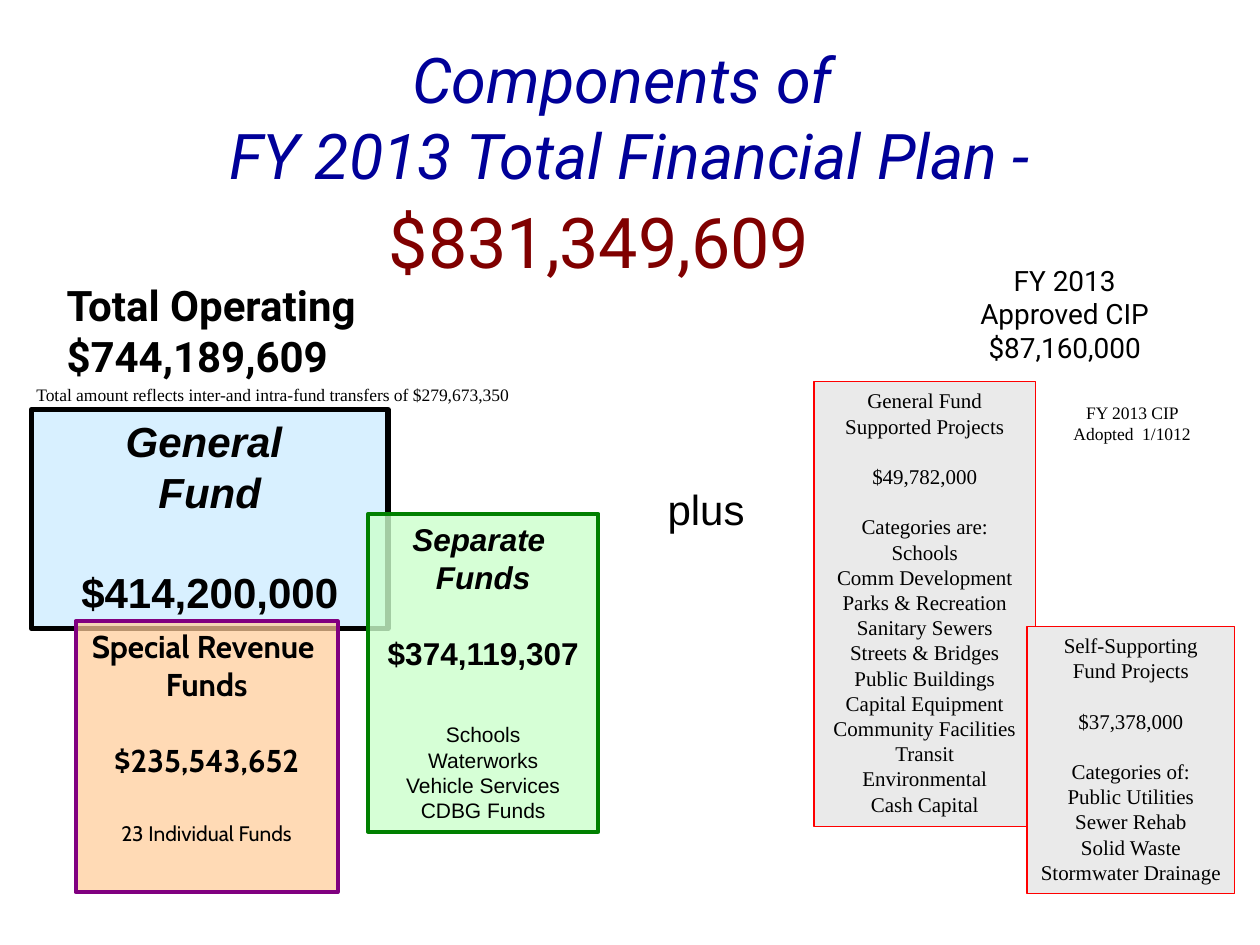
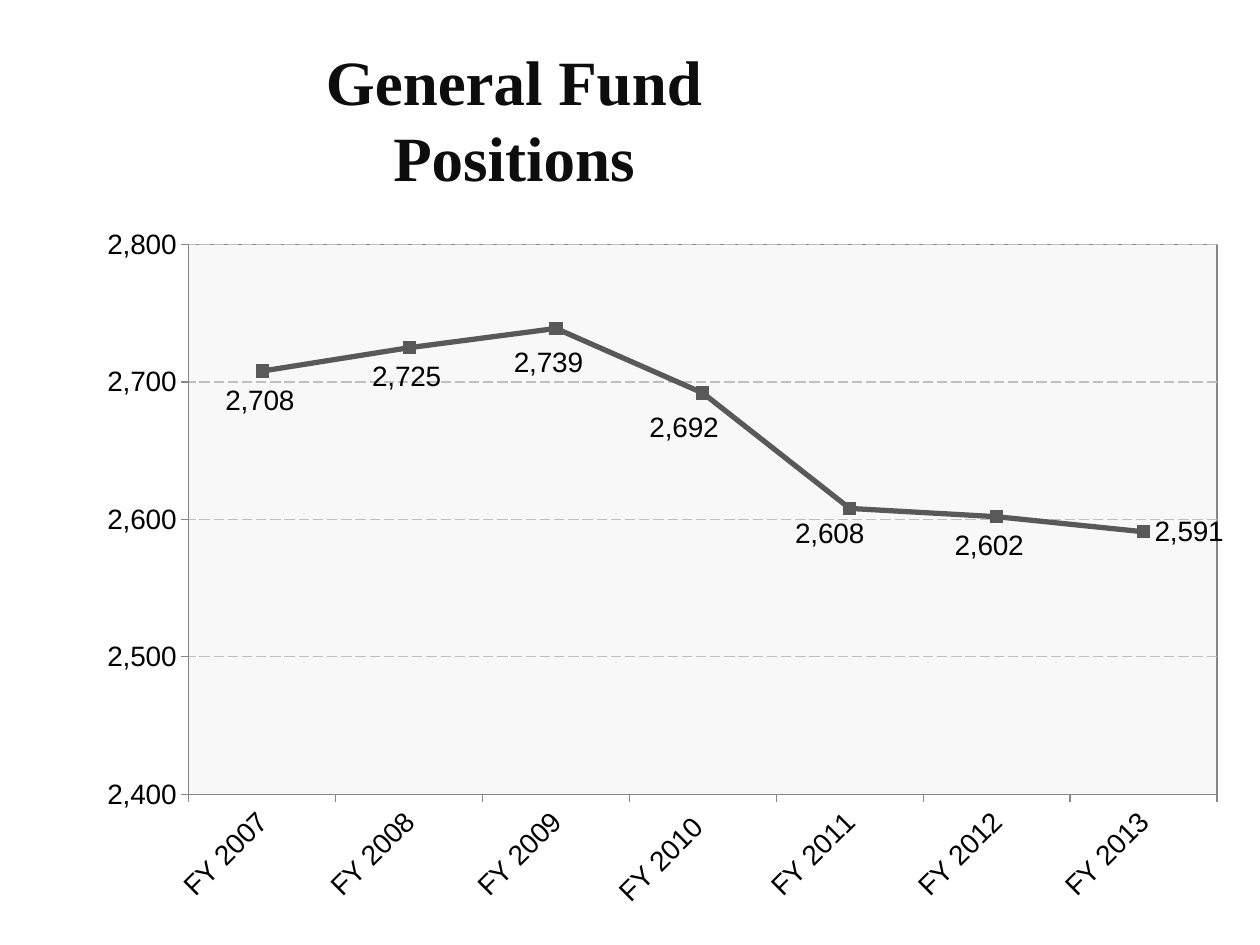
import pptx
import pptx.chart.data
import pptx.dml.color
import pptx.enum.chart
import pptx.enum.dml
import pptx.enum.shapes
import pptx.enum.text
import pptx.oxml
import pptx.oxml.ns
import pptx.util
from pptx.util import Inches, Pt

RGB = pptx.dml.color.RGBColor
ALIGN = pptx.enum.text.PP_ALIGN
ANCHOR = pptx.enum.text.MSO_ANCHOR
LABEL_POS = pptx.enum.chart.XL_LABEL_POSITION

BLACK = RGB(0x00, 0x00, 0x00)
NAVY = RGB(0x00, 0x00, 0x99)
MAROON = RGB(0x80, 0x00, 0x00)
RED = RGB(0xFF, 0x00, 0x00)
GREEN = RGB(0x00, 0x80, 0x00)
PURPLE = RGB(0x80, 0x00, 0x80)
PALE_BLUE = RGB(0xCC, 0xEC, 0xFF)
PALE_GREEN = RGB(0xCC, 0xFF, 0xCC)
PEACH = RGB(0xFF, 0xCC, 0x99)
PALE_GRAY = RGB(0xEA, 0xEA, 0xEA)
PLOT_GRAY = RGB(0xF2, 0xF2, 0xF2)
GRID_GRAY = RGB(0xBF, 0xBF, 0xBF)
AXIS_GRAY = RGB(0x86, 0x86, 0x86)
SERIES_GRAY = RGB(0x59, 0x59, 0x59)
NEAR_BLACK = RGB(0x0D, 0x0D, 0x0D)

SANS, SERIF, ROBOTO, CABIN = "Arial", "Times New Roman", "Roboto", "Cabin"
LEADING = 1.2  # line pitch as a multiple of the text size


# Shared text and shape helpers
def write(tf, lines, font, size, color=BLACK, align=ALIGN.CENTER, wrap=True,
          anchor=ANCHOR.TOP, bold=False, italic=False):
    """Each line is a text, or (text, changes); gap is the space above in points."""
    tf.word_wrap = wrap
    tf.auto_size = pptx.enum.text.MSO_AUTO_SIZE.NONE
    tf.vertical_anchor = anchor
    for i, line in enumerate(lines):
        text, changes = (line, {}) if isinstance(line, str) else line
        look = dict(size=size, bold=bold, italic=italic, gap=0) | changes
        p = tf.paragraphs[0] if i == 0 else tf.add_paragraph()
        p.alignment = align
        p.line_spacing = Pt(LEADING * look["size"])
        p.space_before = Pt(LEADING * look["gap"])
        for n, part in enumerate(text.split("\n")):
            if n:
                p.add_line_break()
            r = p.add_run()
            r.text = part
            r.font.name, r.font.size = font, Pt(look["size"])
            r.font.bold, r.font.italic = look["bold"], look["italic"]
            r.font.color.rgb = color


def add_title(s, box, text, font, color, **look):
    sp = s.shapes.title
    sp.left, sp.top, sp.width, sp.height = map(Inches, box)
    write(sp.text_frame, [text], font, 36, color, **look)


def add_label(s, box, lines, font, size, **look):
    sp = s.shapes.add_textbox(*map(Inches, box))
    write(sp.text_frame, lines, font, size, **look)


def set_alpha(fill_parent, percent):
    for clr in fill_parent.xpath("./a:solidFill/a:srgbClr"):
        alpha = pptx.oxml.parse_xml(
            f'<a:alpha {pptx.oxml.ns.nsdecls("a")} val="{percent * 1000}"/>')
        clr.append(alpha)


def add_fund_box(s, box, fill, alpha, line, width, lines, font, size, **look):
    sp = s.shapes.add_shape(pptx.enum.shapes.MSO_SHAPE.RECTANGLE, *map(Inches, box))
    sp.shadow.inherit = False
    sp.fill.solid()
    sp.fill.fore_color.rgb = fill
    if alpha < 100:
        set_alpha(sp._element.spPr, alpha)
    sp.line.color.rgb = line
    sp.line.width = Pt(width)
    write(sp.text_frame, lines, font, size, **look)


# Slide 1: regions of the financial plan
def add_plan_labels(s):
    add_label(s, (0.43, 2.17, 3.33, 0.91), ["Total Operating", "$744,189,609"],
              ROBOTO, 24, align=ALIGN.LEFT, bold=True)
    add_label(s, (7.65, 2.04, 1.6, 0.91), ["FY 2013", "Approved CIP", "$87,160,000"],
              ROBOTO, 16, wrap=False)
    add_label(s, (0.19, 3, 4.04, 0.27),
              ["Total amount reflects inter-and intra-fund transfers of $279,673,350"],
              SERIF, 10, align=ALIGN.LEFT)
    add_label(s, (8.4, 3.14, 1.17, 0.44), ["FY 2013 CIP Adopted  1/1012"], SERIF, 10)
    add_label(s, (5.2, 3.79, 0.81, 0.5), ["plus"], SANS, 24,
              align=ALIGN.LEFT, wrap=False)
    add_label(s, (2.94, 1.53, 3.63, 0.77), ["$831,349,609"], ROBOTO, 40,
              color=MAROON, wrap=False)


def add_capital_projects(s):
    gap = {"gap": 12}
    general = ["General Fund", "Supported Projects", ("$49,782,000", gap),
               ("Categories are:", gap), "Schools", "Comm Development",
               "Parks & Recreation", "Sanitary Sewers", "Streets & Bridges",
               "Public Buildings", "Capital Equipment", "Community Facilities",
               "Transit", "Environmental", "Cash Capital"]
    supporting = ["Self-Supporting", "Fund Projects", ("$37,378,000", gap),
                  ("Categories of:", gap), "Public Utilities", "Sewer Rehab",
                  "Solid Waste", "Stormwater Drainage"]
    for box, lines in (((6.46, 3.03, 1.76, 3.53), general),
                       ((8.15, 4.97, 1.65, 2.12), supporting)):
        add_fund_box(s, box, PALE_GRAY, 100, RED, 0.75, lines, SERIF, 12)


def add_operating_funds(s):
    small = {"size": 12, "bold": False, "italic": False}
    add_fund_box(s, (0.25, 3.25, 2.83, 1.74), PALE_BLUE, 75, BLACK, 3,
                 ["General ", "Fund", ("$414,200,000", {"gap": 24, "italic": False})],
                 SANS, 24, bold=True, italic=True)
    add_fund_box(s, (2.92, 4.08, 1.83, 2.52), PALE_GREEN, 80, GREEN, 2.25,
                 ["Separate ", "Funds",
                  ("$374,119,307", {"gap": 18, "italic": False}),
                  ("Schools", small | {"gap": 24}), ("Waterworks", small),
                  ("Vehicle Services", small), ("CDBG Funds", small)],
                 SANS, 18, bold=True, italic=True)
    add_fund_box(s, (0.6, 4.93, 2.08, 2.15), PEACH, 72, PURPLE, 2.25,
                 ["Special Revenue ", "Funds", ("$235,543,652", {"gap": 18}),
                  ("23 Individual Funds", small | {"gap": 20})],
                 CABIN, 18, bold=True)


def build_plan_slide(s):
    add_title(s, (0.5, 0.3, 9, 1.25), "Components of \nFY 2013 Total Financial Plan -",
              ROBOTO, NAVY, anchor=ANCHOR.MIDDLE, italic=True)
    add_plan_labels(s)
    add_capital_projects(s)
    add_operating_funds(s)


# Slide 2: positions chart
POSITIONS = {"FY 2007": 2708, "FY 2008": 2725, "FY 2009": 2739, "FY 2010 ": 2692,
             "FY 2011": 2608, "FY 2012": 2602, "FY 2013": 2591}
# Label shifts from the spot below each point, in inches; the last label sits right
LABEL_SHIFTS = [(-0.02, 0.03), (-0.02, 0.02), (-0.06, 0.06), (-0.15, 0.07),
                (-0.16, -0.01), (-0.06, 0.02)]


def manual_layout(**values):
    items = "".join(f'<c:{k} val="{v}"/>' for k, v in values.items())
    return pptx.oxml.parse_xml(f'<c:layout {pptx.oxml.ns.nsdecls("c")}>'
                               f'<c:manualLayout>{items}</c:manualLayout></c:layout>')


def format_plot_area(chart):
    area = chart._chartSpace.xpath("c:chart/c:plotArea")[0]
    for old in area.xpath("c:layout"):
        area.remove(old)
    area.insert(0, manual_layout(layoutTarget="inner", xMode="edge", yMode="edge",
                                 x=0.123, y=0.087, w=0.859, h=0.727))
    sp_pr = pptx.oxml.parse_xml(
        f'<c:spPr {pptx.oxml.ns.nsdecls("c", "a")}>'
        f'<a:solidFill><a:srgbClr val="{PLOT_GRAY}"/></a:solidFill>'
        f'<a:ln w="9525"><a:solidFill><a:srgbClr val="{AXIS_GRAY}"/></a:solidFill></a:ln>'
        '</c:spPr>')
    set_alpha(sp_pr, 51)
    area.append(sp_pr)


def format_axes(chart):
    for axis in (chart.category_axis, chart.value_axis):
        axis.major_tick_mark = pptx.enum.chart.XL_TICK_MARK.OUTSIDE
        axis.format.line.color.rgb = AXIS_GRAY
        axis.format.line.width = Pt(0.75)
        axis.tick_labels.font.size = Pt(16)
    chart.category_axis._element.xpath("c:txPr/a:bodyPr")[0].set("rot", "-2700000")
    values = chart.value_axis
    values.minimum_scale, values.maximum_scale, values.major_unit = 2400, 2800, 100
    values.tick_labels.number_format = "#,##0"
    values.tick_labels.number_format_is_linked = False
    grid = values.major_gridlines.format.line
    grid.color.rgb, grid.width = GRID_GRAY, Pt(0.75)
    grid.dash_style = pptx.enum.dml.MSO_LINE.LONG_DASH


def format_series(ser, width, height):
    ser.smooth = False
    ser.format.line.color.rgb, ser.format.line.width = SERIES_GRAY, Pt(3)
    ser.marker.style, ser.marker.size = pptx.enum.chart.XL_MARKER_STYLE.SQUARE, 7
    ser.marker.format.fill.solid()
    ser.marker.format.fill.fore_color.rgb = SERIES_GRAY
    ser.marker.format.line.color.rgb = SERIES_GRAY
    labels = ser.data_labels
    labels.show_value, labels.position = True, LABEL_POS.RIGHT
    labels.number_format, labels.number_format_is_linked = "#,##0", False
    labels.font.size = Pt(16)
    for i, (dx, dy) in enumerate(LABEL_SHIFTS):
        label = ser.points[i].data_label
        label.font.size = Pt(16)
        label.position = LABEL_POS.BELOW
        d_lbl = ser._element.xpath(f"c:dLbls/c:dLbl[c:idx/@val='{i}']")[0]
        d_lbl.insert(1, manual_layout(x=round(dx / width, 4), y=round(dy / height, 4)))


def add_positions_chart(s, box):
    data = pptx.chart.data.CategoryChartData(number_format="#,##0")
    data.categories = list(POSITIONS)
    data.add_series("Series 1", list(POSITIONS.values()))
    kind = pptx.enum.chart.XL_CHART_TYPE.LINE_MARKERS
    chart = s.shapes.add_chart(kind, *map(Inches, box), data).chart
    chart.has_title = chart.has_legend = False
    chart.font.name, chart.font.size = SANS, Pt(18)
    chart.font.color.rgb = BLACK
    chart.plots[0].vary_by_categories = False
    format_axes(chart)
    format_series(chart.plots[0].series[0], box[2], box[3])
    format_plot_area(chart)


def build_positions_slide(s):
    add_title(s, (2.38, 0.29, 3.4, 1.3), "General Fund Positions", SERIF, NEAR_BLACK,
              bold=True)
    add_positions_chart(s, (0.33, 1.42, 9.5, 6))


def main():
    prs = pptx.Presentation()
    prs.slide_width, prs.slide_height = Inches(10), Inches(7.5)
    for build in (build_plan_slide, build_positions_slide):
        build(prs.slides.add_slide(prs.slide_layouts[5]))
    prs.save("out.pptx")


if __name__ == "__main__":
    main()
